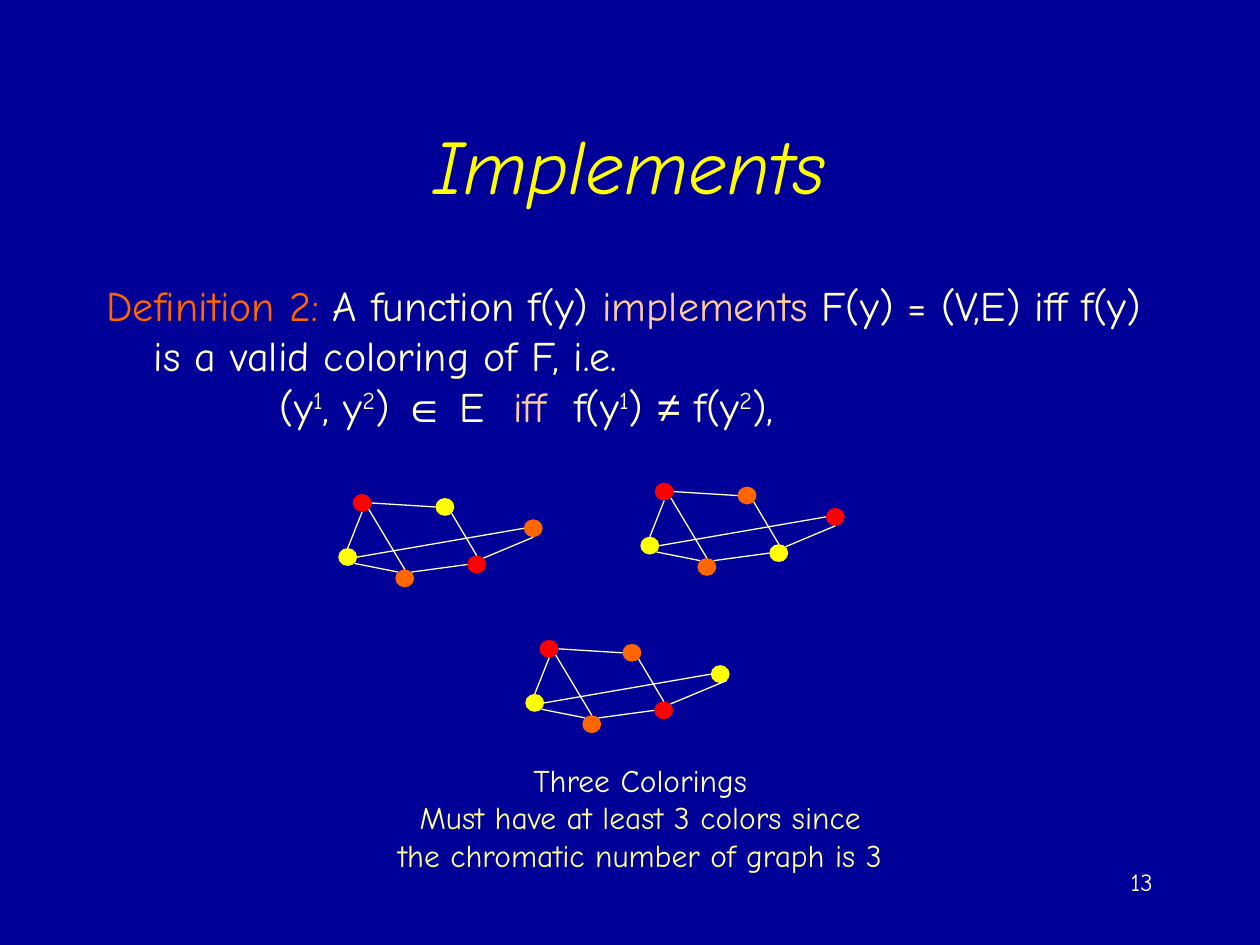
from dataclasses import dataclass
from typing import NamedTuple

import lxml.etree
import pptx
import pptx.dml.color
import pptx.enum.shapes
import pptx.enum.text
import pptx.oxml.ns
import pptx.util

Cm = pptx.util.Cm
Pt = pptx.util.Pt
ALIGN = pptx.enum.text.PP_ALIGN
qn = pptx.oxml.ns.qn

FONT = "Comic Neue"
NAVY, CREAM, PEACH, PALE = "000099", "FFFFCC", "FFCC99", "FFFF99"
RED, YELLOW, ORANGE = "FF0000", "FFFF00", "FF6600"

VERTEX_WIDTH, VERTEX_HEIGHT = 0.38, 0.36
VERTICES = [(0, 0), (1.67, 0.08), (-0.29, 1.09), (0.86, 1.52), (2.31, 1.24), (3.45, 0.51)]
DIAGONAL = 0.5 ** 0.5
SITES = {
    "top": (0, -1), "bottom": (0, 1), "left": (-1, 0), "right": (1, 0),
    "top left": (-DIAGONAL, -DIAGONAL), "top right": (DIAGONAL, -DIAGONAL),
    "bottom right": (DIAGONAL, DIAGONAL),
}


class Edge(NamedTuple):
    start: int
    start_site: str
    end: int
    end_site: str


class Span(NamedTuple):
    text: str
    color: str = CREAM
    font: str = FONT
    raised: bool = False


@dataclass
class Coloring:
    left: float
    top: float
    colors: list[str]
    last_vertex_site: str = "bottom"


EDGES = [
    Edge(0, "right", 1, "left"),
    Edge(1, "bottom right", 4, "top"),
    Edge(0, "bottom", 2, "top"),
    Edge(0, "bottom right", 3, "top"),
    Edge(5, "left", 2, "right"),
    Edge(4, "left", 3, "top right"),
    Edge(2, "bottom right", 3, "top left"),
]
COLORINGS = [
    Coloring(7.11, 9.96, [RED, YELLOW, YELLOW, ORANGE, RED, ORANGE]),
    Coloring(13.2, 9.73, [RED, ORANGE, YELLOW, ORANGE, YELLOW, RED]),
    Coloring(10.88, 12.9, [RED, ORANGE, YELLOW, ORANGE, RED, YELLOW], "bottom right"),
]
DEFINITION = [
    Span("Definition 2:", ORANGE),
    Span(" A function f(y) "),
    Span("implements", PEACH),
    Span(" F(y) = (V,E) iff f(y) is a valid coloring of F, i.e."),
]
FORMULA = [
    Span("\t\t(y"), Span("1", raised=True), Span(", y"), Span("2", raised=True),
    Span(") "), Span("∈", font="Arial"), Span(" E  "), Span("iff", PEACH),
    Span("  f(y"), Span("1", raised=True), Span(") "), Span("≠", font="Arial"),
    Span(" f(y"), Span("2", raised=True), Span("),"),
]


def rgb(color: str) -> pptx.dml.color.RGBColor:
    return pptx.dml.color.RGBColor.from_string(color)


def style(paragraph, size: float, color: str, alignment, italic: bool = False) -> None:
    paragraph.alignment = alignment
    paragraph.font.name = FONT
    paragraph.font.size = Pt(size)
    paragraph.font.italic = italic
    paragraph.font.color.rgb = rgb(color)


def add_text(slide, left: float, top: float, width: float, height: float):
    frame = slide.shapes.add_textbox(Cm(left), Cm(top), Cm(width), Cm(height)).text_frame
    frame.word_wrap = True
    return frame


def add_spans(paragraph, spans: list[Span], size: float) -> None:
    for span in spans:
        run = paragraph.add_run()
        run.text = span.text
        run.font.name = span.font
        run.font.size = Pt(size)
        run.font.color.rgb = rgb(span.color)
        if span.raised:
            run._r.get_or_add_rPr().set("baseline", "30000")


def add_definition(slide) -> None:
    paragraph = add_text(slide, 1.9, 5.51, 21.59, 3.61).paragraphs[0]
    paragraph.space_before = Pt(6)
    properties = paragraph._p.get_or_add_pPr()
    properties.set("marL", str(Cm(0.95)))
    properties.set("indent", str(Cm(-0.95)))
    tabs = lxml.etree.SubElement(properties, qn("a:tabLst"))
    for inch in range(8):
        lxml.etree.SubElement(tabs, qn("a:tab"), pos=str(Cm(2.54 * inch)), algn="l")
    add_spans(paragraph, DEFINITION, 24)
    paragraph.add_line_break()
    add_spans(paragraph, FORMULA, 24)


def site_point(coloring: Coloring, vertex: int, site: str) -> tuple[int, int]:
    x, y = VERTICES[vertex]
    dx, dy = SITES[site]
    return (Cm(coloring.left + x + VERTEX_WIDTH / 2 * (1 + dx)),
            Cm(coloring.top + y + VERTEX_HEIGHT / 2 * (1 + dy)))


def draw_coloring(slide, coloring: Coloring) -> None:
    for (x, y), color in zip(VERTICES, coloring.colors):
        vertex = slide.shapes.add_shape(
            pptx.enum.shapes.MSO_SHAPE.OVAL, Cm(coloring.left + x), Cm(coloring.top + y),
            Cm(VERTEX_WIDTH), Cm(VERTEX_HEIGHT))
        vertex.shadow.inherit = False
        vertex.fill.solid()
        vertex.fill.fore_color.rgb = rgb(color)
        vertex.line.fill.background()
    for edge in EDGES + [Edge(5, coloring.last_vertex_site, 4, "top right")]:
        link = slide.shapes.add_connector(
            pptx.enum.shapes.MSO_CONNECTOR.STRAIGHT,
            *site_point(coloring, edge.start, edge.start_site),
            *site_point(coloring, edge.end, edge.end_site))
        link.line.color.rgb = rgb(CREAM)
        link.line.width = Pt(0.75)
        lxml.etree.SubElement(link._element.spPr, qn("a:effectLst"))


def main() -> None:
    deck = pptx.Presentation()
    deck.slide_width, deck.slide_height = Cm(25.4), Cm(19.05)
    slide = deck.slides.add_slide(deck.slide_layouts[5])
    slide.background.fill.solid()
    slide.background.fill.fore_color.rgb = rgb(NAVY)

    title = slide.shapes.title
    title.left, title.top, title.width, title.height = Cm(1.9), Cm(1.7), Cm(21.59), Cm(3.18)
    title.text_frame.text = "Implements"
    title.text_frame.vertical_anchor = pptx.enum.text.MSO_ANCHOR.MIDDLE
    style(title.text_frame.paragraphs[0], 44, YELLOW, ALIGN.CENTER, italic=True)

    add_definition(slide)
    for coloring in COLORINGS:
        draw_coloring(slide, coloring)

    caption = add_text(slide, 7.37, 15.21, 11.07, 2.54)
    caption.word_wrap = False
    caption.auto_size = pptx.enum.text.MSO_AUTO_SIZE.SHAPE_TO_FIT_TEXT
    caption.text = ("Three Colorings\nMust have at least 3 colors since\n"
                    "the chromatic number of graph is 3")
    for paragraph, color in zip(caption.paragraphs, [CREAM, PALE, PALE]):
        style(paragraph, 18, color, ALIGN.CENTER)

    page_number = add_text(slide, 18.21, 17.35, 5.28, 1.27)
    page_number.text = "13"
    style(page_number.paragraphs[0], 14, CREAM, ALIGN.RIGHT)

    deck.save("out.pptx")


if __name__ == "__main__":
    main()
